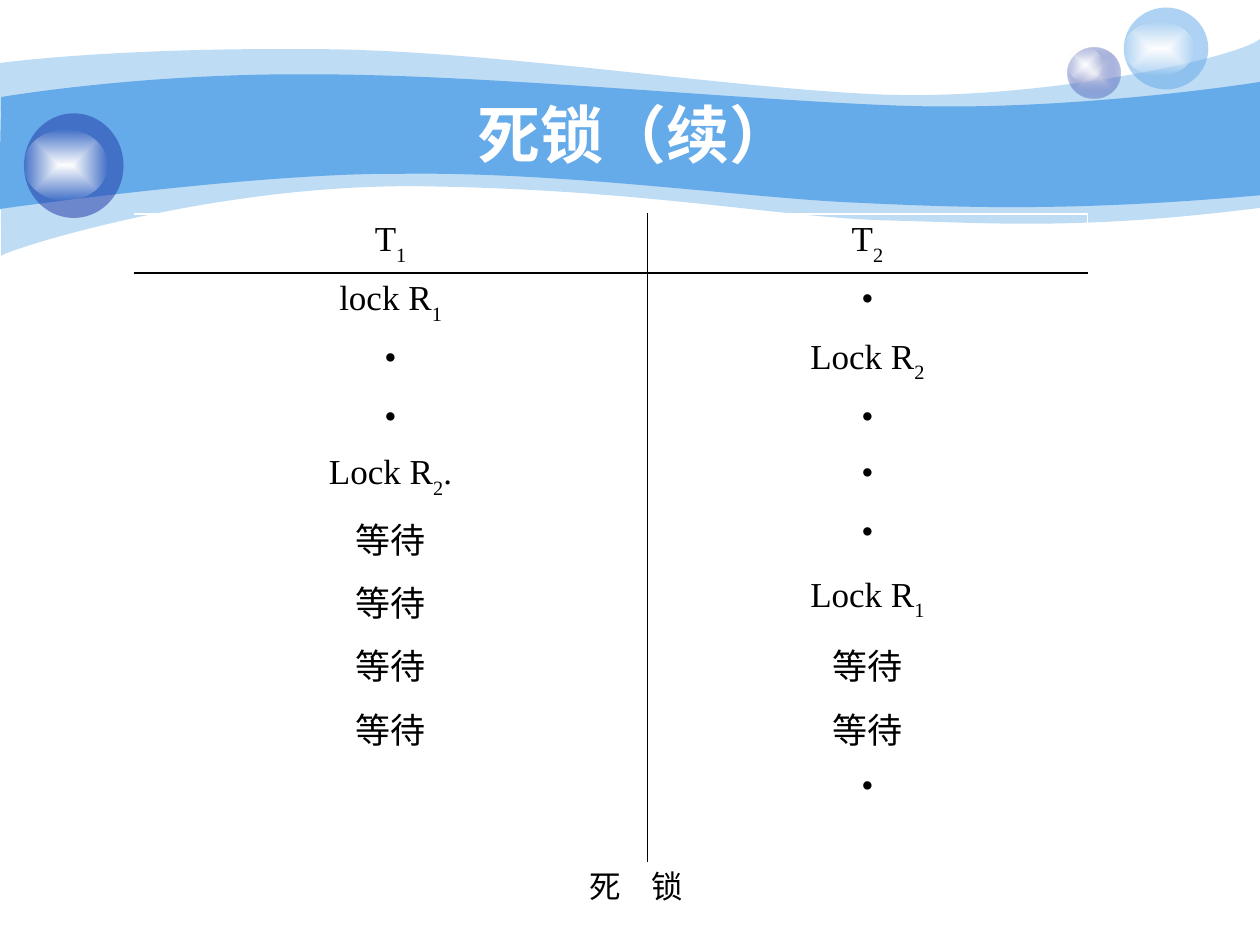
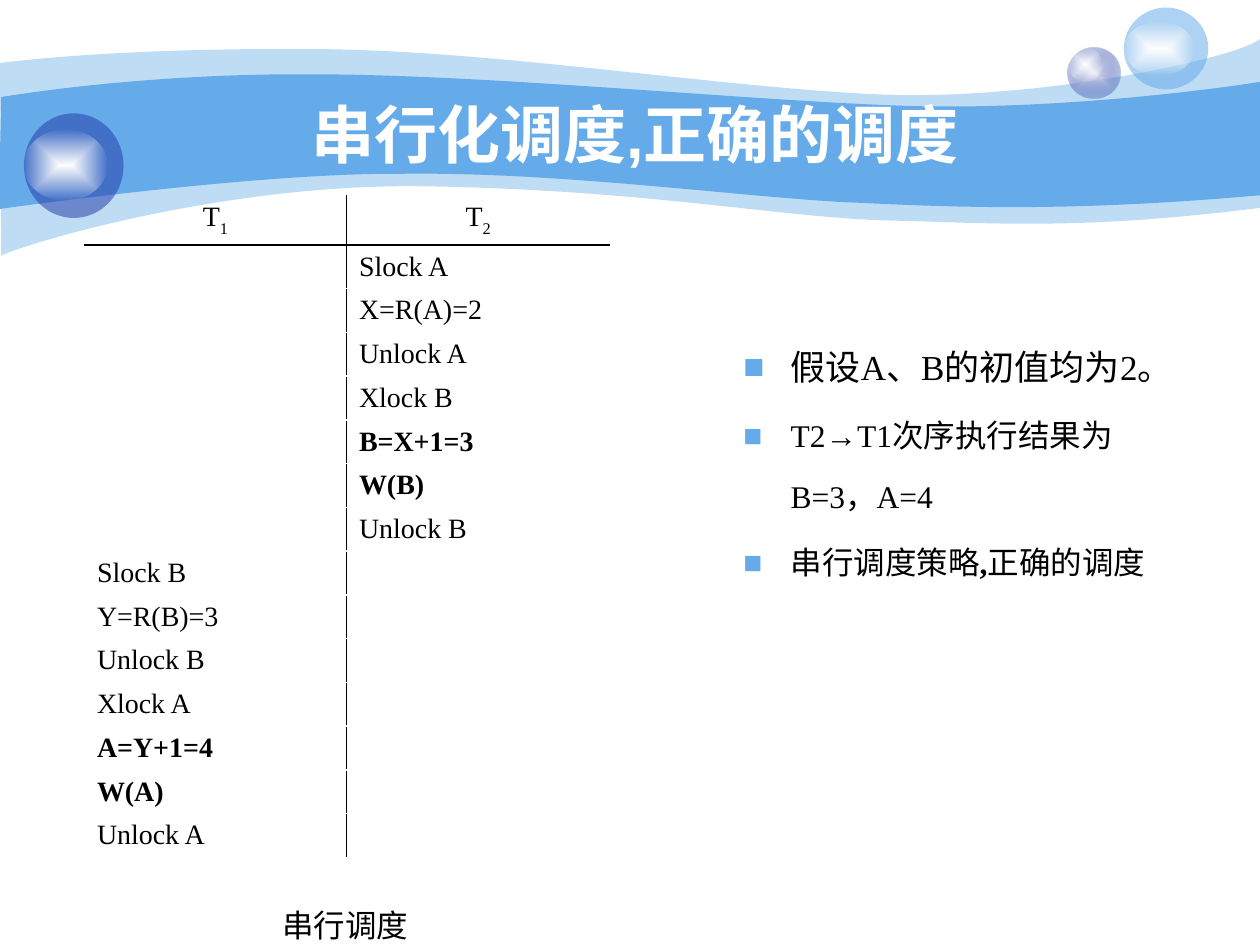
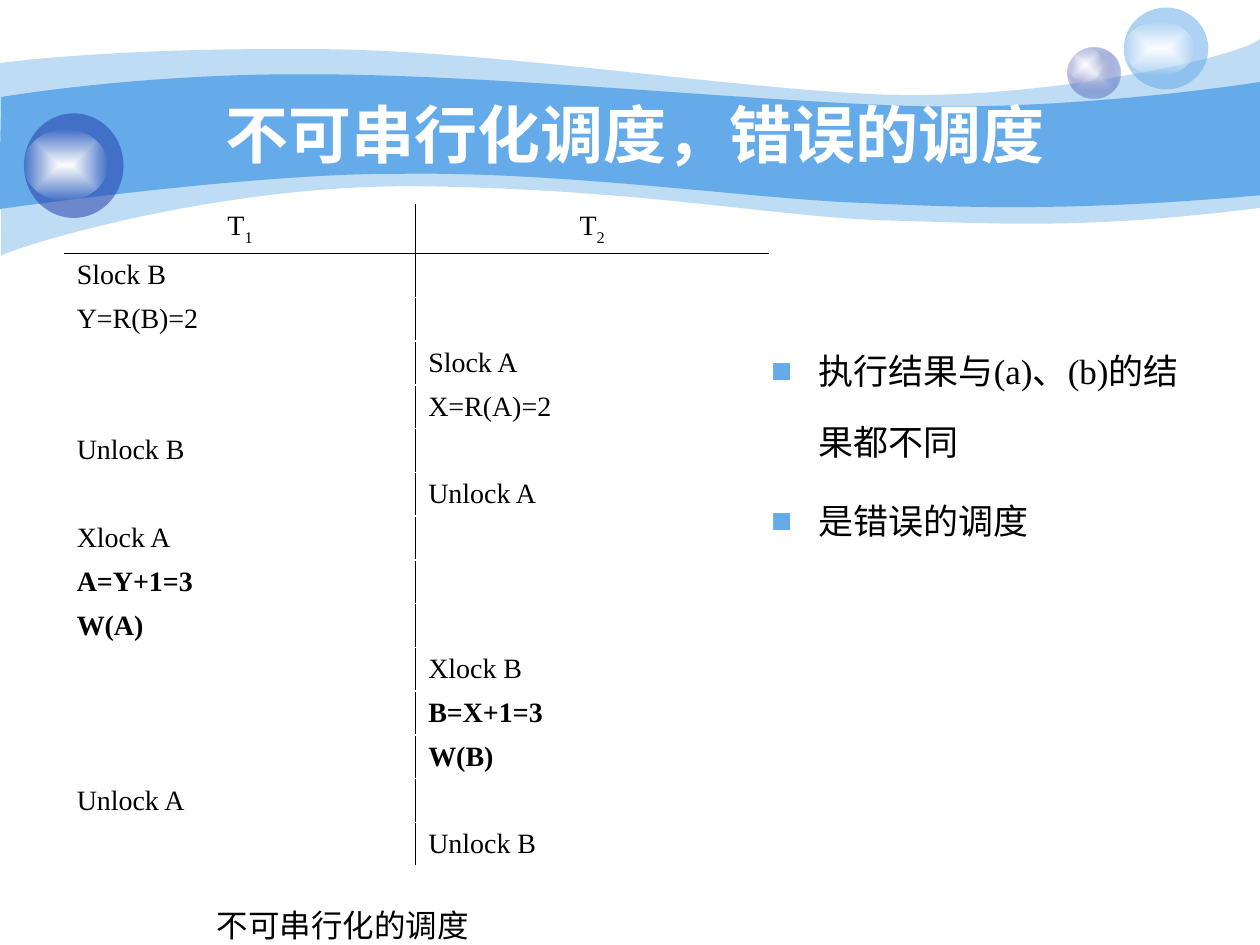
from lxml import etree
from pptx import Presentation
from pptx.dml.color import RGBColor
from pptx.enum.shapes import MSO_SHAPE
from pptx.enum.text import MSO_ANCHOR, MSO_AUTO_SIZE, PP_ALIGN
from pptx.oxml import parse_xml
from pptx.oxml.ns import nsdecls, qn
from pptx.util import Inches, Pt

WHITE = RGBColor(0xFF, 0xFF, 0xFF)
BLACK = RGBColor(0x00, 0x00, 0x00)
SKY = RGBColor(0x65, 0xAA, 0xE9)
NAVY = RGBColor(0x23, 0x3D, 0xA9)
MIST = RGBColor(0xE1, 0xE2, 0xED)
TITLE_FONT, TEXT_FONT = "Arial", "Times New Roman"
NO_TABLE_STYLE = "{2D5ABB26-0587-4C30-8999-92F81FD0307C}"
HANGING = Pt(27)

# Each wave is an upper and a lower edge of chained cubic curves, in inches
WAVES = [
    (41, [
        [(0, 0.5), (0.24, 0.47), (1.07, 0.38), (2.47, 0.39), (3.86, 0.39),
         (5.75, 0.7), (6.99, 0.75), (8.22, 0.8), (9.8, 0.47), (10, 0.31)],
        [(10, 1.65), (8.58, 1.83), (7.87, 1.77), (7.05, 1.75), (6.22, 1.73),
         (5.15, 1.51), (3.43, 1.48), (1.72, 1.44), (0.04, 1.99), (0.01, 2.03)],
    ]),
    (100, [
        [(0.01, 0.77), (0.02, 0.77), (1.1, 0.58), (2.48, 0.59), (3.86, 0.59),
         (5.95, 0.8), (7.18, 0.84), (8.41, 0.88), (9.76, 0.69), (10, 0.65)],
        [(10, 1.55), (8.53, 1.68), (7.65, 1.65), (6.82, 1.61), (5.99, 1.58),
         (4.47, 1.36), (3.17, 1.38), (2.03, 1.37), (-0.02, 1.66), (-0.01, 1.66)],
    ]),
]

# Each bubble is a ball and its highlight: box in inches, then (colour, opacity) stops
SHINE = [(WHITE, 100), (WHITE, 0)]
BUBBLES = [
    ((8.47, 0.38, 0.42, 0.4), [(MIST, 100), (NAVY, 31)]),
    ((8.47, 0.38, 0.28, 0.27), SHINE),
    ((8.92, 0.06, 0.67, 0.65), [(SKY, 53)]),
    ((8.92, 0.17, 0.56, 0.43), SHINE),
    ((0.19, 0.9, 0.79, 0.83), [(NAVY, 53)]),
    ((0.19, 1.03, 0.66, 0.56), SHINE),
]

# An underscore marks the next character as a subscript
PAGES = [
    {
        "title": "死锁（续）",
        "table": (1.06, 1.7), "columns": (4.08, 3.49), "size": 20,
        "heights": [0.45] * 9 + [0.81],
        "rows": [("T_1", "T_2"), ("lock R_1", "•"), ("•", "Lock R_2"), ("•", "•"),
                 ("Lock R_2.", "•"), ("等待", "•"), ("等待", "Lock R_1"),
                 ("等待", "等待"), ("等待", "等待"), ("", "•")],
        "caption": "死 锁", "caption_at": (5.05, 6.59), "tracking": 675,
    },
    {
        "title": "串行化调度,正确的调度",
        "table": (0.67, 1.55), "columns": (2.08, 2.09), "size": 16,
        "heights": [0.39] + [4.86 / 14] * 14,
        "rows": [("T_1", "T_2")]
        + [("", step) for step in ("Slock A", "X=R(A)=2", "Unlock A", "Xlock B",
                                   "B=X+1=3", "W(B)", "Unlock B")]
        + [(step, "") for step in ("Slock B", "Y=R(B)=3", "Unlock B", "Xlock A",
                                   "A=Y+1=4", "W(A)", "Unlock A")],
        "caption": "串行调度", "caption_at": (2.74, 6.9), "tracking": 0,
        "list": (5.8, 2.49, 3.61, 2.08), "spacing": 1.6,
        "items": [(20, ["假设A、B的初值均为2。"]),
                  (18, ["T2→T1次序执行结果为B=3，A=4"]),
                  (18, ["串行调度策略", ",", "正确的调度"])],
    },
    {
        "title": "不可串行化调度，错误的调度",
        "table": (0.51, 1.62), "columns": (2.79, 2.8), "size": 16,
        "heights": [0.39] + [4.86 / 14] * 14,
        "rows": [("T_1", "T_2"), ("Slock B", ""), ("Y=R(B)=2", ""), ("", "Slock A"),
                 ("", "X=R(A)=2"), ("Unlock B", ""), ("", "Unlock A"), ("Xlock A", ""),
                 ("A=Y+1=3", ""), ("W(A)", ""), ("", "Xlock B"), ("", "B=X+1=3"),
                 ("", "W(B)"), ("Unlock A", ""), ("", "Unlock B")],
        "caption": "不可串行化的调度", "caption_at": (2.72, 6.9), "tracking": 0,
        "list": (6.02, 2.49, 3.5, 1.8), "spacing": 1.7,
        "items": [(20, ["执行结果与(a)、(b)的结果都不同"]), (20, ["是错误的调度"])],
    },
]


def paint(shape, stops):
    """Fill a shape with one colour or a centred gradient, with opacity in percent."""
    shape.shadow.inherit = False
    shape.line.fill.background()
    shape.fill.solid()
    colours = [f'<a:srgbClr val="{colour}"><a:alpha val="{opacity * 1000}"/></a:srgbClr>'
               for colour, opacity in stops]
    if len(stops) == 1:
        xml = f'<a:solidFill {nsdecls("a")}>{colours[0]}</a:solidFill>'
    else:
        xml = (f'<a:gradFill {nsdecls("a")} rotWithShape="1"><a:gsLst>'
               f'<a:gs pos="0">{colours[0]}</a:gs><a:gs pos="100000">{colours[1]}</a:gs>'
               '</a:gsLst><a:path path="shape"><a:fillToRect l="50000" t="50000" '
               'r="50000" b="50000"/></a:path></a:gradFill>')
    properties = shape.element.spPr
    properties.replace(properties.find(qn("a:solidFill")), parse_xml(xml))


def style(span, size, font=TEXT_FONT, colour=BLACK, bold=False):
    span.font.name, span.font.size, span.font.bold = font, Pt(size), bold
    span.font.color.rgb = colour


deck = Presentation()
deck.slide_width, deck.slide_height = Inches(10), Inches(7.5)
slides = [deck.slides.add_slide(deck.slide_layouts[1 if "items" in page else 5])
          for page in PAGES]

# Waves: outlines through the anchors, whose edges are then bent into cubic curves
decorations = []
canvas = slides[0].shapes
for opacity, edges in WAVES:
    anchors = [(Inches(x), Inches(y)) for edge in edges for x, y in edge[::3]]
    builder = canvas.build_freeform(*anchors[0])
    builder.add_line_segments(anchors[1:], close=True)
    wave = builder.convert_to_shape()
    segments = wave.element.findall(".//" + qn("a:lnTo"))
    upper = len(edges[0]) // 3
    for edge, lines in zip(edges, (segments[:upper], segments[upper + 1:])):
        for number, line in enumerate(lines):
            curve = etree.Element(qn("a:cubicBezTo"))
            for x, y in edge[3 * number + 1:3 * number + 4]:
                etree.SubElement(curve, qn("a:pt"), x=str(Inches(x) - wave.left),
                                 y=str(Inches(y) - wave.top))
            line.getparent().replace(line, curve)
    paint(wave, [(SKY, opacity)])
    decorations.append(wave)

# Bubbles
for box, stops in BUBBLES:
    bubble = canvas.add_shape(MSO_SHAPE.OVAL, *map(Inches, box))
    paint(bubble, stops)
    decorations.append(bubble)

# The decorations belong to the master, shared by all slides
master_tree = deck.slide_master.element.cSld.spTree
for number, shape in enumerate(decorations):
    shape.element.nvSpPr.cNvPr.set("id", str(100 + number))
    master_tree.insert(2 + number, shape.element)

for slide, page in zip(slides, PAGES):
    # Title
    title = slide.shapes.title
    title.left, title.top, title.width, title.height = map(Inches, (1, 0.75, 8.08, 0.62))
    frame = title.text_frame
    frame.text = page["title"]
    frame.auto_size, frame.vertical_anchor = MSO_AUTO_SIZE.NONE, MSO_ANCHOR.MIDDLE
    frame.paragraphs[0].alignment = PP_ALIGN.CENTER
    style(frame.paragraphs[0].runs[0], 36, TITLE_FONT, WHITE, True)

    # Schedule table
    rows, size, has_list = page["rows"], page["size"], "items" in page
    left, top = page["table"]
    area = (left, top, sum(page["columns"]), sum(page["heights"]))
    graphic = slide.shapes.add_table(len(rows), 2, *map(Inches, area))
    graphic.element.find(".//" + qn("a:tableStyleId")).text = NO_TABLE_STYLE
    table = graphic.table
    table.first_row = table.horz_banding = False
    for column, width in zip(table.columns, page["columns"]):
        column.width = Inches(width)
    for row, height in zip(table.rows, page["heights"]):
        row.height = Inches(height)
    for r, texts in enumerate(rows):
        for c, text in enumerate(texts):
            cell = table.cell(r, c)
            para = cell.text_frame.paragraphs[0]
            para.alignment = PP_ALIGN.LEFT if has_list and r else PP_ALIGN.CENTER
            base, _, rest = text.partition("_")
            for part, shift in ((base, 0), (rest[:1], -30000), (rest[1:], 0)):
                if part:
                    span = para.add_run()
                    span.text = part
                    style(span, size, bold="+" in part or part.startswith("W("))
                    if shift:
                        span.font._element.set("baseline", str(shift))
            if not text:
                end = etree.SubElement(para._p, qn("a:endParaRPr"), sz=str(size * 100))
                etree.SubElement(end, qn("a:latin"), typeface=TEXT_FONT)

            # Cell borders: black divider and header rule, white or none elsewhere
            row_rule, frame_rule = (WHITE, None) if has_list else (None, WHITE)
            borders = {
                "lnL": BLACK if c else None,
                "lnR": frame_rule if c else BLACK,
                "lnT": (frame_rule, BLACK, row_rule)[min(r, 2)],
                "lnB": row_rule if r else BLACK,
            }
            cell_properties = cell._tc.get_or_add_tcPr()
            for side, colour in borders.items():
                line = etree.SubElement(cell_properties, qn("a:" + side), w=str(Pt(1)))
                if colour is None:
                    etree.SubElement(line, qn("a:noFill"))
                else:
                    solid = etree.SubElement(line, qn("a:solidFill"))
                    etree.SubElement(solid, qn("a:srgbClr"), val=str(colour))
            cell.fill.background()

    # Caption, centred on its given point
    centre, top = page["caption_at"]
    caption = slide.shapes.add_textbox(*map(Inches, (centre - 1.2, top, 2.4, 0.4)))
    frame = caption.text_frame
    frame.word_wrap = True
    frame.text = page["caption"]
    para = frame.paragraphs[0]
    para.alignment, para.line_spacing = PP_ALIGN.CENTER, 1.8
    style(para.runs[0], 18)
    if page["tracking"]:
        para.runs[0].font._element.set("spc", str(page["tracking"]))

    # Bulleted remarks
    if has_list:
        body = slide.placeholders[1]
        body.left, body.top, body.width, body.height = map(Inches, page["list"])
        frame = body.text_frame
        frame.auto_size = MSO_AUTO_SIZE.NONE
        for number, (size, parts) in enumerate(page["items"]):
            para = frame.add_paragraph() if number else frame.paragraphs[0]
            para.line_spacing = page["spacing"]
            para.space_before = Pt(size / 5 if number else 0)
            properties = para._p.get_or_add_pPr()
            properties.set("marL", str(HANGING))
            properties.set("indent", str(-HANGING))
            bullet_colour = etree.SubElement(properties, qn("a:buClr"))
            etree.SubElement(bullet_colour, qn("a:srgbClr"), val=str(SKY))
            etree.SubElement(properties, qn("a:buFont"), typeface=TITLE_FONT)
            etree.SubElement(properties, qn("a:buChar"), char="■")
            for part in parts:
                span = para.add_run()
                span.text = part
                style(span, size, bold=part == ",")

deck.save("out.pptx")
